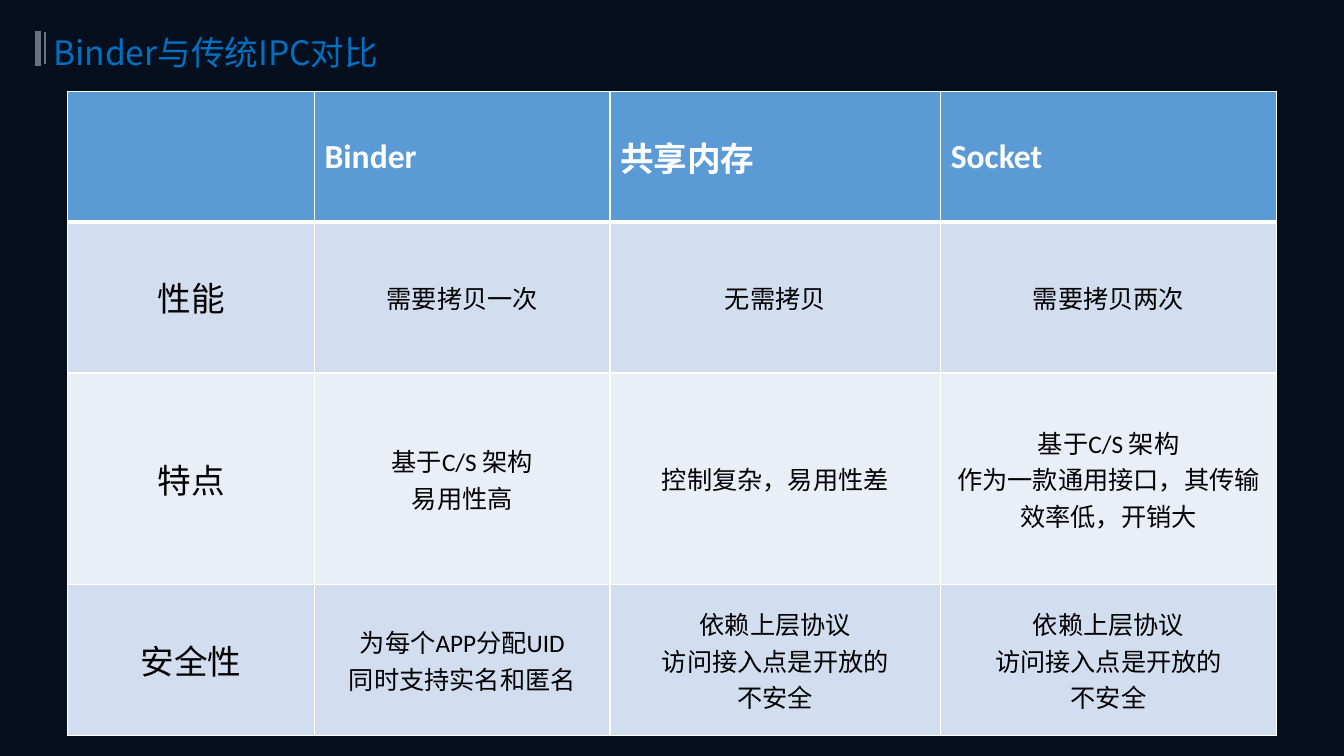
"""Build a slide comparing Binder with traditional IPC mechanisms."""
from dataclasses import dataclass

from lxml.etree import SubElement
from pptx import Presentation
from pptx.dml.color import RGBColor
from pptx.enum.shapes import MSO_CONNECTOR as Connector, MSO_SHAPE as Preset
from pptx.enum.text import MSO_ANCHOR as Anchor, PP_ALIGN as Align
from pptx.oxml.ns import qn
from pptx.slide import Slide
from pptx.table import Table, _Cell as Cell
from pptx.text.text import TextFrame
from pptx.util import Inches, Pt

NAVY = RGBColor(0x06, 0x0F, 0x1E)
GREY = RGBColor(0x6A, 0x72, 0x7E)
TITLE_BLUE = RGBColor(0x00, 0x70, 0xC0)
HEADER_BLUE = RGBColor(0x5B, 0x9B, 0xD5)
BAND_DARK = RGBColor(0xD2, 0xDE, 0xEF)
BAND_LIGHT = RGBColor(0xEA, 0xEF, 0xF7)
WHITE = RGBColor(0xFF, 0xFF, 0xFF)
BLACK = RGBColor(0x00, 0x00, 0x00)
CJK_FONT = "Noto Sans CJK SC"


@dataclass(frozen=True)
class TextLook:
    """Format of one kind of text."""
    color: RGBColor
    align: Align
    font: dict


@dataclass(frozen=True)
class AccentBar:
    """Vertical line left of the title."""
    x: float
    top: float
    bottom: float
    weight: float


@dataclass(frozen=True)
class ComparisonRow:
    """One table row with its height, fill and texts."""
    height: float
    fill: RGBColor
    texts: tuple[str, ...]


TITLE = TextLook(TITLE_BLUE, Align.LEFT, {"size": Pt(24), "name": CJK_FONT, "bold": False})
HEADER = TextLook(WHITE, Align.LEFT, {"size": Pt(24), "name": "Calibri", "bold": True})
CRITERION = TextLook(BLACK, Align.CENTER, {"size": Pt(24), "name": "Calibri", "bold": False})
DETAIL = TextLook(BLACK, Align.CENTER, {"size": Pt(18), "name": "Calibri", "bold": False})

ACCENT_BARS = (AccentBar(0.38, 0.31, 0.65, 4.5), AccentBar(0.45, 0.32, 0.64, 1.5))
COLUMN_WIDTHS = (2.45, 2.93, 3.28, 3.33)
OPEN_ACCESS = "依赖上层协议\n访问接入点是开放的\n不安全"
ROWS = (
    ComparisonRow(1.29, HEADER_BLUE, ("", "Binder", "共享内存", "Socket")),
    ComparisonRow(1.5, BAND_DARK, ("性能", "需要拷贝一次", "无需拷贝", "需要拷贝两次")),
    ComparisonRow(2.1, BAND_LIGHT, (
        "特点", "基于C/S 架构\n易用性高", "控制复杂，易用性差",
        "基于C/S 架构\n作为一款通用接口，其传输效率低，开销大")),
    ComparisonRow(1.5, BAND_DARK, (
        "安全性", "为每个APP分配UID\n同时支持实名和匿名", OPEN_ACCESS, OPEN_ACCESS)),
)


def write_text(frame: TextFrame, text: str, look: TextLook) -> None:
    """Fill a frame with one paragraph per line of text."""
    frame.text = text
    for paragraph in frame.paragraphs:
        paragraph.alignment = look.align
        for run in paragraph.runs:
            for attribute, value in look.font.items():
                setattr(run.font, attribute, value)
            run.font.color.rgb = look.color
            SubElement(run.font._element, qn("a:ea"), typeface=CJK_FONT)


def draw_accent_bar(slide: Slide, bar: AccentBar) -> None:
    """Draw one vertical bar."""
    x = Inches(bar.x)
    line = slide.shapes.add_connector(
        Connector.STRAIGHT, x, Inches(bar.top), x, Inches(bar.bottom))
    line.line.color.rgb = GREY
    line.line.width = Pt(bar.weight)
    SubElement(line._element.spPr, qn("a:effectLst"))


def draw_title(slide: Slide, text: str) -> None:
    """Draw the title in an unfilled rounded box."""
    title = slide.shapes.add_shape(
        Preset.ROUNDED_RECTANGLE, Inches(0.39), Inches(0.23), Inches(8.15), Inches(0.58))
    title.adjustments[0] = 0.23
    title.shadow.inherit = False
    title.fill.background()
    title.line.fill.background()
    title.text_frame.word_wrap = True
    title.text_frame.vertical_anchor = Anchor.MIDDLE
    write_text(title.text_frame, text, TITLE)


def set_borders(cell: Cell, top: float, bottom: float) -> None:
    """Give a cell white borders, one point wide at the sides."""
    properties = cell._tc.get_or_add_tcPr()
    for side, weight in {"L": 1, "R": 1, "T": top, "B": bottom}.items():
        border = SubElement(properties, qn(f"a:ln{side}"), w=str(Pt(weight)))
        fill = SubElement(border, qn("a:solidFill"))
        SubElement(fill, qn("a:srgbClr"), val=str(WHITE))


def fill_row(table: Table, index: int, row: ComparisonRow) -> None:
    """Write and format one table row."""
    table.rows[index].height = Inches(row.height)
    for column, text in enumerate(row.texts):
        cell = table.cell(index, column)
        set_borders(cell, 3 if index == 1 else 1, 3 if index == 0 else 1)
        cell.fill.solid()
        cell.fill.fore_color.rgb = row.fill
        cell.vertical_anchor = Anchor.MIDDLE
        look = HEADER if index == 0 else CRITERION if column == 0 else DETAIL
        write_text(cell.text_frame, text, look)


def draw_comparison(slide: Slide) -> None:
    """Draw the comparison table."""
    table = slide.shapes.add_table(
        len(ROWS), len(COLUMN_WIDTHS), Inches(0.67), Inches(0.91),
        Inches(sum(COLUMN_WIDTHS)), Inches(sum(row.height for row in ROWS))).table
    for column, width in zip(table.columns, COLUMN_WIDTHS):
        column.width = Inches(width)
    for index, row in enumerate(ROWS):
        fill_row(table, index, row)


def main() -> None:
    """Build and save the presentation."""
    deck = Presentation()
    deck.slide_width, deck.slide_height = Inches(13.33), Inches(7.5)
    slide = deck.slides.add_slide(deck.slide_layouts[6])
    slide.background.fill.solid()
    slide.background.fill.fore_color.rgb = NAVY
    for bar in ACCENT_BARS:
        draw_accent_bar(slide, bar)
    draw_title(slide, "Binder与传统IPC对比")
    draw_comparison(slide)
    deck.save("out.pptx")


if __name__ == "__main__":
    main()
